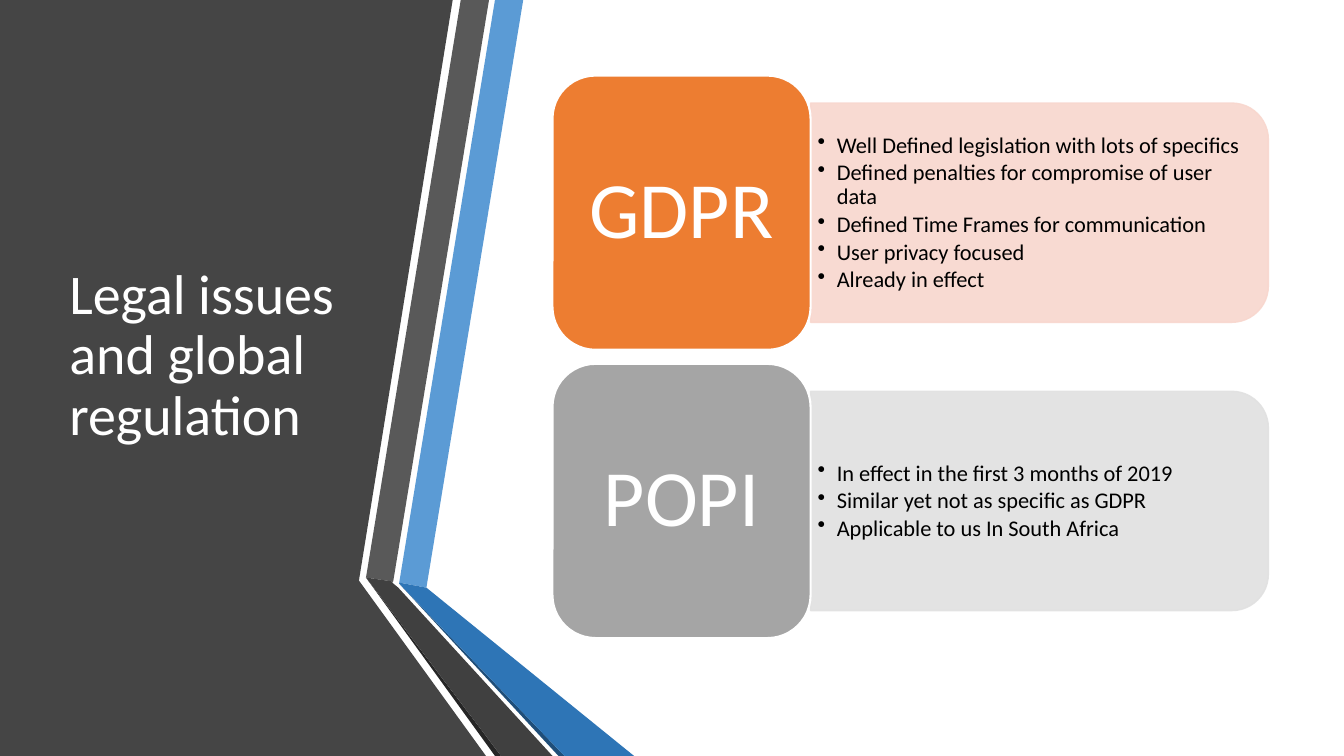
import dataclasses

import lxml.etree
import pptx
import pptx.dml.color
import pptx.enum.shapes
import pptx.enum.text
import pptx.oxml.ns
import pptx.util

Inches = pptx.util.Inches
Pt = pptx.util.Pt
Preset = pptx.enum.shapes.MSO_SHAPE
Align = pptx.enum.text.PP_ALIGN
qn = pptx.oxml.ns.qn


@dataclasses.dataclass(frozen=True)
class Theme:
    """Colours, font and type sizes of the slide."""
    font: str = "Calibri"
    light: str = "FFFFFF"
    ink: str = "000000"
    backdrop: str = "454545"
    title_size: int = 40
    name_size: int = 57
    bullet_size: int = 16


@dataclasses.dataclass(frozen=True)
class Box:
    """A rectangle in inches."""
    left: float
    top: float
    width: float
    height: float

    def inset(self, gap):
        """Return the box shrunk by a gap on every side."""
        return Box(self.left + gap, self.top + gap, self.width - 2 * gap, self.height - 2 * gap)

    def place(self):
        """Return the four lengths that python-pptx expects."""
        return [Inches(v) for v in (self.left, self.top, self.width, self.height)]


THEME = Theme()
BANDS = [
    ("5B9BD5", [(3.96, 5.78), (4.23, 5.83), (5.19, 0), (4.91, 0)]),
    ("595959", [(4.85, 0), (4.57, 0), (3.63, 5.73), (3.9, 5.77)]),
    ("262626", [(3.63, 5.73), (4.91, 7.5), (4.97, 7.5)]),
    ("1F4E79", [(3.96, 5.79), (5.54, 7.5), (5.6, 7.5)]),
    ("2E75B6", [(3.96, 5.79), (5.6, 7.5), (6.29, 7.5), (4.23, 5.83), (3.96, 5.78)]),
    ("404040", [(5.48, 7.5), (3.95, 5.83), (3.89, 5.78), (3.9, 5.77), (3.63, 5.73), (4.97, 7.5)]),
]
BACKDROP = [(0, 0), (4.49, 0), (3.56, 5.76), (4.82, 7.5), (0, 7.5)]
LAWS = [
    ("GDPR", "ED7D31", "F8D7CE", [
        "Well Defined legislation with lots of specifics",
        "Defined penalties for compromise of user data",
        "Defined Time Frames for communication",
        "User privacy focused",
        "Already in effect",
    ]),
    ("POPI", "A5A5A5", "E1E1E1", [
        "In effect in the first 3 months of 2019",
        "Similar yet not as specific as GDPR",
        "Applicable to us In South Africa",
    ]),
]


def rgb(code):
    """Return a colour from its hex code."""
    return pptx.dml.color.RGBColor.from_string(code)


def paint(shape, fill, line=None, width=1):
    """Give a shape a flat fill and an optional line."""
    shape.shadow.inherit = False
    shape.fill.solid()
    shape.fill.fore_color.rgb = rgb(fill)
    if line:
        shape.line.color.rgb = rgb(line)
        shape.line.width = Pt(width)
    else:
        shape.line.fill.background()


def add_polygon(page, box, points, fill):
    """Draw a closed outline whose points are relative to the box."""
    vertices = [(Inches(box.left + x), Inches(box.top + y)) for x, y in points]
    builder = page.shapes.build_freeform(*vertices[0], scale=1.0)
    builder.add_line_segments(vertices[1:], close=True)
    paint(builder.convert_to_shape(), fill)


def add_text(page, box, lines, size, color, margins=(0.1, 0.05), align=Align.LEFT, after=0):
    """Add middle-anchored text and return its paragraphs."""
    frame = page.shapes.add_textbox(*box.place()).text_frame
    frame.word_wrap = True
    frame.vertical_anchor = pptx.enum.text.MSO_ANCHOR.MIDDLE
    frame.margin_left = frame.margin_right = Inches(margins[0])
    frame.margin_top = frame.margin_bottom = Inches(margins[1])
    for index, line in enumerate(lines):
        para = frame.add_paragraph() if index else frame.paragraphs[0]
        para.alignment = align
        para.line_spacing = 0.9
        para.space_after = Pt(after)
        span = para.add_run()
        span.text = line
        span.font.name = THEME.font
        span.font.size = Pt(size)
        span.font.color.rgb = rgb(color)
    return frame.paragraphs


def add_bullet(para, indent):
    """Give a paragraph a hanging round bullet."""
    props = para._p.get_or_add_pPr()
    props.set("marL", str(Inches(indent)))
    props.set("indent", str(-Inches(indent)))
    lxml.etree.SubElement(props, qn("a:buChar")).set("char", "•")


def add_title_side(page, box):
    """Draw the dark side with its folded bands and the title."""
    add_polygon(page, box, BACKDROP, THEME.backdrop)
    for color, points in BANDS:
        add_polygon(page, box, points, color)
    title = Box(box.left + 0.59, box.top + 0.75, 3.04, 5.58)
    add_text(page, title, ["Legal issues and global regulation"], THEME.title_size, THEME.light)


def add_panel(page, box, color):
    """Draw a translucent panel rounded on its right side."""
    left = box.left + (box.width - box.height) / 2
    top = box.top + (box.height - box.width) / 2
    upright = Box(left, top, box.height, box.width)
    panel = page.shapes.add_shape(Preset.ROUND_2_SAME_RECTANGLE, *upright.place())
    panel.rotation = 90
    paint(panel, color, color)
    for tint in panel.element.spPr.iter(qn("a:srgbClr")):
        lxml.etree.SubElement(tint, qn("a:alpha")).set("val", "90000")


def add_law(page, box, law):
    """Draw one law: its name tile and the panel of points."""
    name, color, tint, points = law
    tile = Box(box.left, box.top, 2.56, box.height)
    panel_height = box.height * 0.8
    panel = Box(box.left + tile.width, box.top + box.height * 0.1,
                box.width - tile.width, panel_height)
    add_panel(page, panel, tint)
    words = Box(panel.left, panel.top + 0.11, panel.width - 0.1, panel.height - 0.21)
    for para in add_text(page, words, points, THEME.bullet_size, THEME.ink, (0.07, 0.03),
                         after=THEME.bullet_size * 0.15):
        add_bullet(para, 0.19)
    shape = page.shapes.add_shape(Preset.ROUNDED_RECTANGLE, *tile.place())
    paint(shape, color, THEME.light, 1.5)
    add_text(page, tile.inset(0.12), [name], THEME.name_size, THEME.light, (0.24, 0.12),
             Align.CENTER)


def add_laws(page, box, gap):
    """Stack the laws evenly in the box."""
    height = (box.height - gap * (len(LAWS) - 1)) / len(LAWS)
    for row, law in enumerate(LAWS):
        add_law(page, Box(box.left, box.top + row * (height + gap), box.width, height), law)


def main():
    """Build and save the deck."""
    deck = pptx.Presentation()
    deck.slide_width, deck.slide_height = Inches(13.33), Inches(7.5)
    page = deck.slides.add_slide(deck.slide_layouts[6])
    add_title_side(page, Box(0, 0, 6.29, 7.5))
    add_laws(page, Box(5.48, 0.75, 7.1, 5.58), 0.14)
    deck.save("out.pptx")


main()
